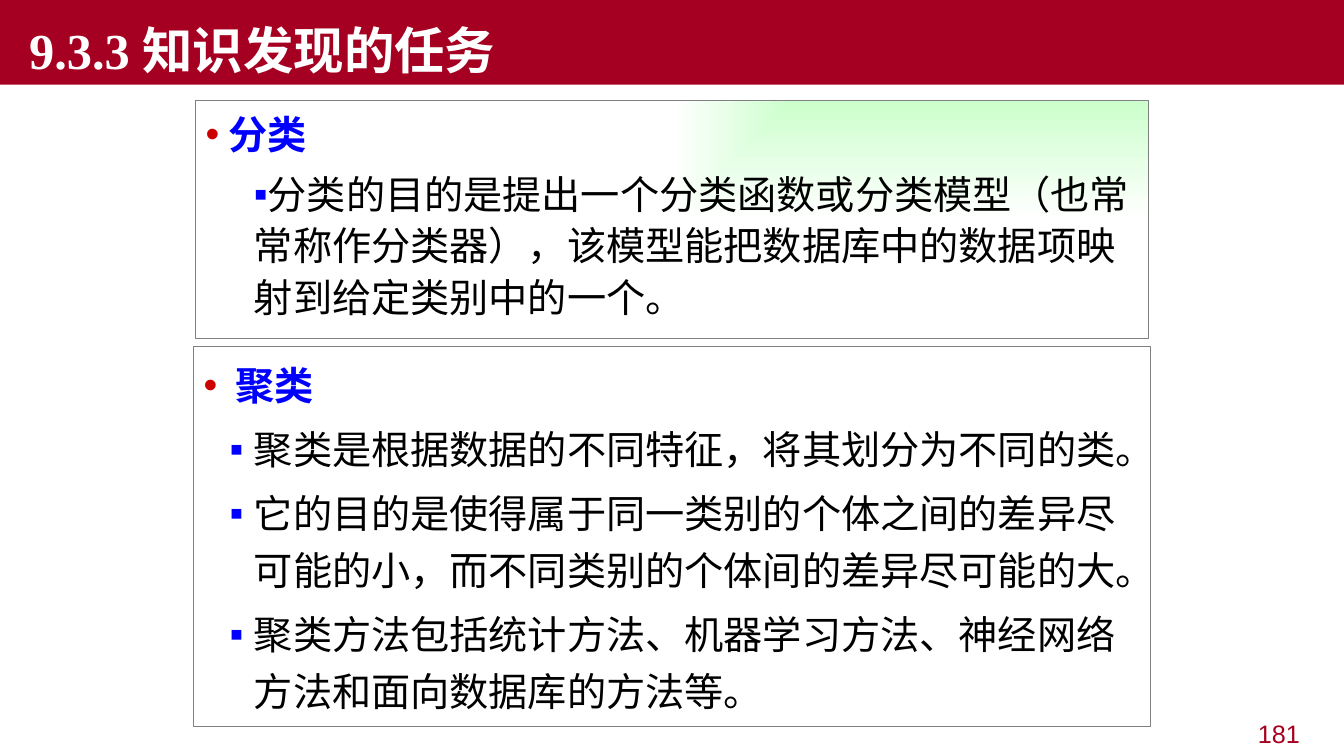
from lxml import etree
from pptx import Presentation
from pptx import util as u
from pptx.dml.color import RGBColor
from pptx.enum import shapes, text
from pptx.oxml import parse_xml
from pptx.oxml.ns import qn

SANS = "Noto Sans CJK SC"
TITLE = "9.3.3 知识发现的任务"
PAGE_NUMBER = "181"
PANELS = [
    dict(at=(1.94, 1.0, 9.45, 2.36), spacing=1.1, gradient=True,
         heading="分类", heading_indent=(0.23, -0.23), item_indent=(0.48, 0),
         items=["分类的目的是提出一个分类函数或分类模型（也常常称作分类器），该模型能把数据库中的数据项映射到给定类别中的一个。"]),
    dict(at=(1.92, 3.44, 9.49, 3.77), spacing=1.2, gradient=False,
         heading="聚类", heading_indent=(0.32, -0.32), item_indent=(0.5, -0.24),
         items=["聚类是根据数据的不同特征，将其划分为不同的类。",
                "它的目的是使得属于同一类别的个体之间的差异尽可能的小，而不同类别的个体间的差异尽可能的大。",
                "聚类方法包括统计方法、机器学习方法、神经网络方法和面向数据库的方法等。"]),
]
GRADIENT = (
    '<a:gradFill xmlns:a="http://schemas.openxmlformats.org/drawingml/2006/main" rotWithShape="1">'
    '<a:gsLst><a:gs pos="0"><a:srgbClr val="CCFFCC"/></a:gs>'
    '<a:gs pos="100000"><a:srgbClr val="FFFFFF"/></a:gs></a:gsLst>'
    '<a:path path="rect"><a:fillToRect l="100000" t="0" r="0" b="100000"/></a:path></a:gradFill>')


def color(value):
    return RGBColor.from_string(value)


def add_box(page, at, fill, line=None):
    box = page.shapes.add_shape(shapes.MSO_SHAPE.RECTANGLE, *map(u.Inches, at))
    box.shadow.inherit = False
    box.fill.solid()
    box.fill.fore_color.rgb = color(fill)
    if line:
        box.line.color.rgb = color(line)
        box.line.width = u.Pt(0.75)
    else:
        box.line.fill.background()
    box.text_frame.word_wrap = True
    return box


def set_indent(para, left, first):
    properties = para._p.get_or_add_pPr()
    properties.set("marL", str(u.Inches(left)))
    properties.set("indent", str(u.Inches(first)))
    return properties


def add_bullet(properties, mark, shade):
    tint = etree.SubElement(properties, qn("a:buClr"))
    etree.SubElement(tint, qn("a:srgbClr"), val=shade)
    etree.SubElement(properties, qn("a:buFont"), typeface="Arial")
    etree.SubElement(properties, qn("a:buChar"), char=mark)


def style(span, size, face, shade, bold=False):
    span.font.size = u.Pt(size)
    span.font.name = face
    span.font.bold = bold
    span.font.color.rgb = color(shade)
    east_asian = etree.Element(qn("a:ea"), typeface=SANS)
    span.font._element.find(qn("a:latin")).addnext(east_asian)


def add_title(page):
    box = add_box(page, (0, 0, 13.33, 0.84), "A50021")
    box.text_frame.vertical_anchor = text.MSO_ANCHOR.BOTTOM
    para = box.text_frame.paragraphs[0]
    para.text = TITLE
    para.alignment = text.PP_ALIGN.LEFT
    set_indent(para, 0, 0.19)
    style(para.runs[0], 36, "Times New Roman", "FFFFFF", True)


def add_panel(page, panel):
    box = add_box(page, panel["at"], "FFFFFF", "808080")
    if panel["gradient"]:
        solid = box._element.spPr.find(qn("a:solidFill"))
        solid.getparent().replace(solid, parse_xml(GRADIENT))
    frame = box.text_frame
    frame.vertical_anchor = text.MSO_ANCHOR.TOP
    for index, words in enumerate([panel["heading"]] + panel["items"]):
        heading = index == 0
        para = frame.paragraphs[0] if heading else frame.add_paragraph()
        para.text = words
        para.alignment = text.PP_ALIGN.LEFT
        para.level = 0 if heading else 1
        para.line_spacing = panel["spacing"]
        para.space_before = u.Pt(0 if heading else 5.6)
        indent = panel["heading_indent"] if heading else panel["item_indent"]
        properties = set_indent(para, *indent)
        properties.set("hangingPunct", "1")
        add_bullet(properties, *(("•", "CC0000") if heading else ("▪", "0000FF")))
        style(para.runs[0], 28, SANS, "0000FF" if heading else "000000", heading)


def add_page_number(page):
    box = page.shapes.add_textbox(*map(u.Inches, (10.1, 7.08, 2.89, 0.39)))
    box.text_frame.word_wrap = True
    para = box.text_frame.paragraphs[0]
    para.text = PAGE_NUMBER
    para.alignment = text.PP_ALIGN.RIGHT
    style(para.runs[0], 18, "Arial", "A50021")


def main():
    deck = Presentation()
    deck.slide_width, deck.slide_height = u.Inches(13.33), u.Inches(7.5)
    page = deck.slides.add_slide(deck.slide_layouts[6])
    add_page_number(page)
    add_title(page)
    for panel in PANELS:
        add_panel(page, panel)
    deck.save("out.pptx")


if __name__ == "__main__":
    main()
